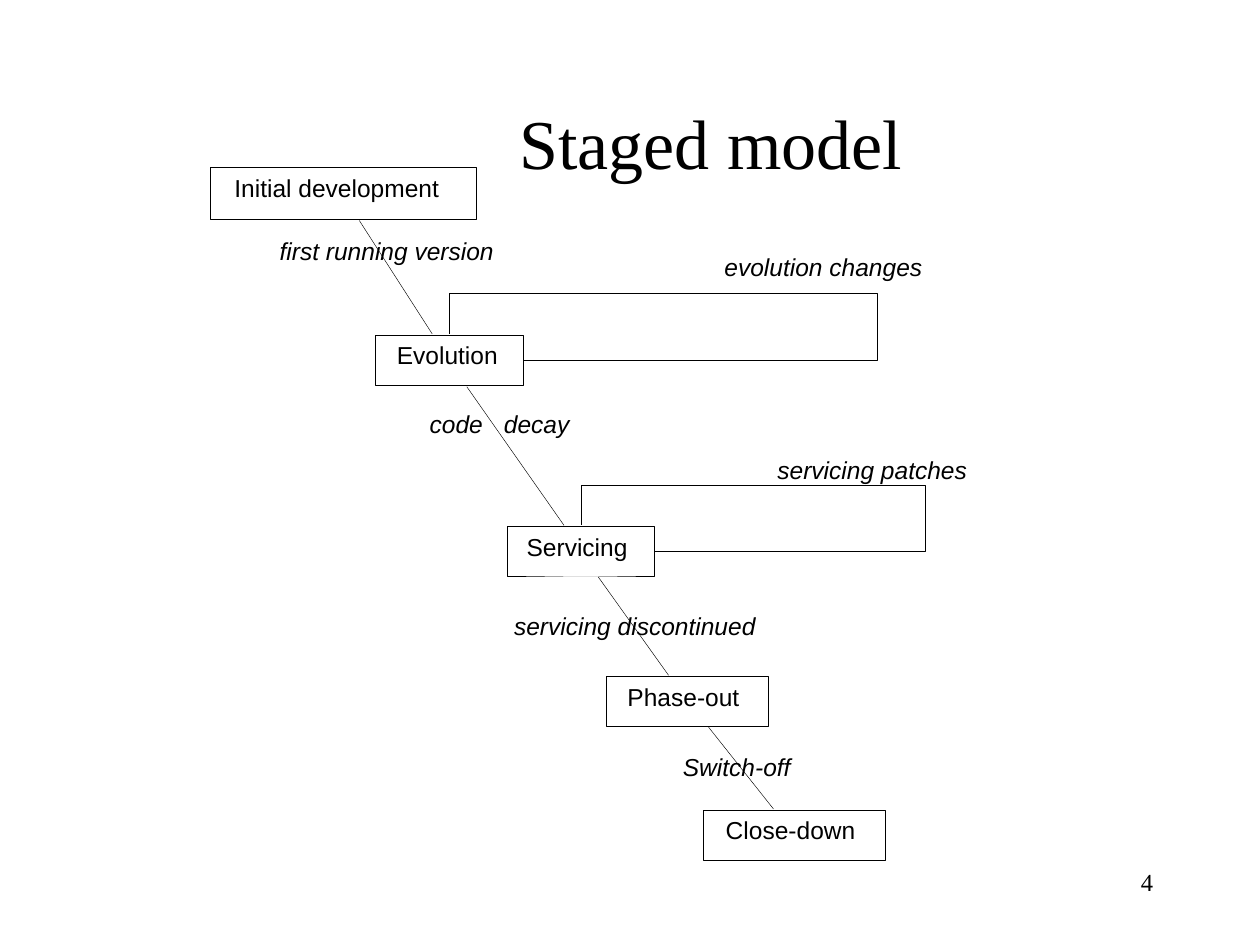
from lxml import etree
from pptx import Presentation
from pptx import util as u
from pptx.dml.color import RGBColor
from pptx.enum import shapes, text
from pptx.oxml.ns import qn

Inches = u.Inches
COLORS = {"ink": "000000", "paper": "FFFFFF"}
SANS, SERIF = "Arial", "Times New Roman"
GAP = 0.01
ENTRY_SHARE = 0.385
LOOP_RISE = 0.33

STAGES = [
    ("Initial development", (1.67, 1.33, 2.11, 0.41), 0.19, 0.56),
    ("Evolution", (2.98, 2.66, 1.17, 0.4), 0.17, 0.62),
    ("Servicing", (4.03, 4.18, 1.16, 0.39), 0.15, 0.62),
    ("Phase-out", (4.81, 5.37, 1.29, 0.39), 0.17, 0.63),
    ("Close-down", (5.58, 6.43, 1.45, 0.4), 0.18, 0.62),
]
LOOPS = [(1, 6.96), (2, 7.34)]
LABELS = [
    ("first running version", 2.22, 1.87, 1.8),
    ("evolution changes", 5.75, 2, 1.67),
    ("code", 3.41, 3.25, 0.5),
    ("decay", 4, 3.25, 0.6),
    ("servicing patches", 6.17, 3.61, 1.6),
    ("servicing discontinued", 4.08, 4.85, 2.02),
    ("Switch-off", 5.42, 5.97, 0.96),
]


def color(name):
    return RGBColor.from_string(COLORS[name])


def style_line(line):
    line.color.rgb = color("ink")
    line.width = u.Pt(0.25)


def write(shape, words, font_name, size=14, italic=False,
          align=text.PP_ALIGN.LEFT, margins=(0, 0, 0, 0)):
    frame = shape.text_frame
    frame.text = words
    frame.word_wrap = True
    frame.margin_left, frame.margin_top, frame.margin_right, frame.margin_bottom = (
        Inches(margin) for margin in margins)
    paragraph = frame.paragraphs[0]
    paragraph.alignment = align
    for run in paragraph.runs:
        run.font.name = font_name
        run.font.size = u.Pt(size)
        run.font.italic = italic
        run.font.color.rgb = color("ink")
    return frame


def add_text(slide, box, words, font_name, **options):
    shape = slide.shapes.add_textbox(*map(Inches, box))
    return write(shape, words, font_name, **options)


def add_title(slide, box):
    frame = add_text(slide, box, "Staged model", SERIF, size=40,
                     align=text.PP_ALIGN.CENTER, margins=(1.38, 0.05, 0.1, 0.05))
    frame.vertical_anchor = text.MSO_ANCHOR.MIDDLE


def add_page_number(slide, box):
    add_text(slide, box, "4", SERIF, align=text.PP_ALIGN.RIGHT,
             margins=(0.1, 0.05, 0.1, 0.05))


def add_stage(slide, box, name, indent):
    shape = slide.shapes.add_shape(shapes.MSO_SHAPE.RECTANGLE, *map(Inches, box))
    shape.shadow.inherit = False
    shape.fill.solid()
    shape.fill.fore_color.rgb = color("paper")
    style_line(shape.line)
    frame = write(shape, name, SANS, margins=(indent, 0.04, 0, 0))
    frame.vertical_anchor = text.MSO_ANCHOR.TOP


def add_transition(slide, box, next_box, exit_share):
    left, top, width, height = box
    next_left, next_top, next_width, _ = next_box
    ends = (left + exit_share * width, top + height + GAP,
            next_left + ENTRY_SHARE * next_width, next_top - GAP)
    connector = slide.shapes.add_connector(
        shapes.MSO_CONNECTOR.STRAIGHT, *map(Inches, ends))
    style_line(connector.line)
    etree.SubElement(connector._element.spPr, qn("a:effectLst"))


def add_loop(slide, box, far_side):
    left, top, width, height = box
    middle = top + height / 2
    roof = top - LOOP_RISE
    center = left + width / 2
    points = [(left + width + GAP, middle), (far_side, middle), (far_side, roof),
              (center, roof), (center, top - GAP)]
    start, *rest = [(Inches(x), Inches(y)) for x, y in points]
    builder = slide.shapes.build_freeform(*start)
    builder.add_line_segments(rest, close=False)
    shape = builder.convert_to_shape()
    shape.shadow.inherit = False
    shape.fill.background()
    style_line(shape.line)


def add_staged_model(slide):
    for name, box, indent, _ in STAGES:
        add_stage(slide, box, name, indent)
    for (_, box, _, exit_share), (_, next_box, _, _) in zip(STAGES, STAGES[1:]):
        add_transition(slide, box, next_box, exit_share)
    for index, far_side in LOOPS:
        add_loop(slide, STAGES[index][1], far_side)
    for words, left, top, width in LABELS:
        add_text(slide, (left, top, width, 0.23), words, SANS, italic=True)


def main():
    presentation = Presentation()
    presentation.slide_width = Inches(10)
    presentation.slide_height = Inches(7.5)
    slide = presentation.slides.add_slide(presentation.slide_layouts[6])
    add_page_number(slide, (7.17, 6.83, 2.08, 0.5))
    add_staged_model(slide)
    add_title(slide, (0.75, 0.5, 8.5, 1.25))
    presentation.save("out.pptx")


if __name__ == "__main__":
    main()
